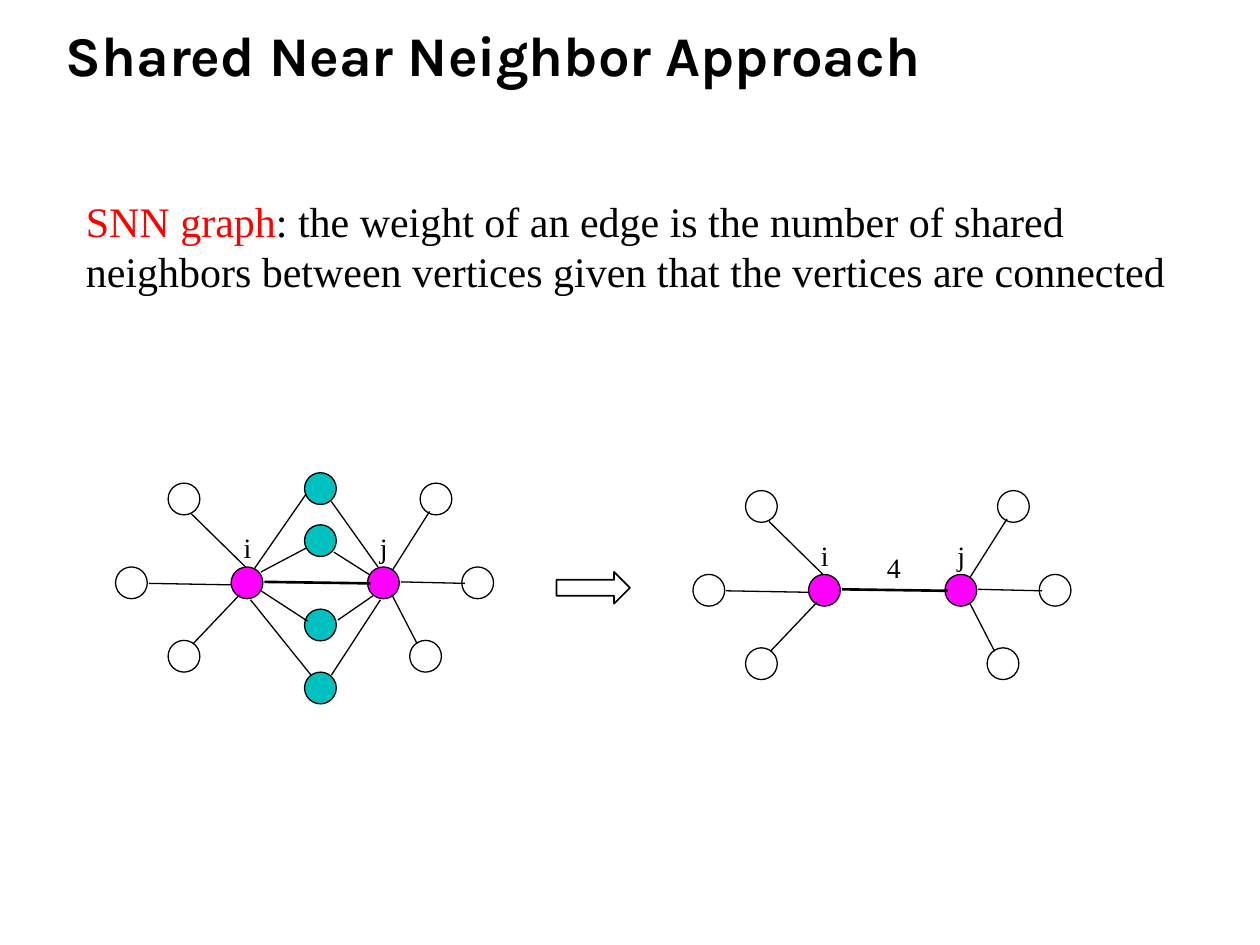
"""Build a slide on the shared near neighbor graph."""
from dataclasses import dataclass
from typing import Optional

from lxml.etree import SubElement
from pptx import Presentation
from pptx.dml.color import RGBColor
from pptx.enum.shapes import MSO_CONNECTOR as Link, MSO_SHAPE as Form
from pptx.enum.text import MSO_ANCHOR as Anchor, MSO_AUTO_SIZE as Fit, PP_ALIGN as Align
from pptx.oxml.ns import qn
from pptx.util import Cm, Pt

BLACK = RGBColor(0, 0, 0)
RED = RGBColor(255, 0, 0)
PINK = RGBColor(255, 0, 255)
TEAL = RGBColor(0, 192, 192)
SERIF = "Times New Roman"
SIZE = 0.64


@dataclass(frozen=True)
class Node:
    x: float
    y: float
    fill: Optional[RGBColor] = None


@dataclass(frozen=True)
class Edge:
    x1: float
    y1: float
    x2: float
    y2: float
    width: float = 0.75


@dataclass(frozen=True)
class Label:
    text: str
    x: float
    y: float
    width: float = 0.84


HUBS = [Node(4.66, 11.43, PINK), Node(7.41, 11.43, PINK)]
RIM = [Node(3.39, 12.91), Node(2.33, 11.43), Node(3.39, 9.74),
       Node(8.47, 9.74), Node(8.26, 12.91), Node(9.31, 11.43)]
SHARED = [Node(6.14, y, TEAL) for y in (9.53, 10.58, 12.28, 13.55)]
NAMES = [Label("i", 4.66, 10.58), Label("j", 7.41, 10.58)]
WEIGHT = Label("4", 5.99, 10.82, 0.94)
EDGES = [
    Edge(3.89, 12.98, 4.83, 11.99),
    Edge(3, 11.76, 4.67, 11.79),
    Edge(3.86, 10.36, 4.95, 11.43),
    Edge(5.33, 11.73, 7.47, 11.76, 1.5),
    Edge(8.08, 11.73, 9.37, 11.76),
    Edge(8.41, 12.98, 7.9, 11.99),
    Edge(7.92, 11.48, 8.66, 10.31),
]
SPOKES = [
    Edge(5.26, 11.53, 6.17, 11.05),
    Edge(5.23, 11.89, 6.2, 12.52),
    Edge(6.27, 13.61, 5.05, 12.09),
    Edge(5.13, 11.46, 6.17, 9.96),
    Edge(6.81, 12.5, 7.52, 12.01),
    Edge(6.68, 13.61, 7.67, 12.09),
    Edge(7.44, 11.58, 6.73, 11.13),
    Edge(7.62, 11.43, 6.68, 10.11),
]


def add_form(shapes, form: Form, x: float, y: float, w: float, h: float,
             fill: Optional[RGBColor], line: float) -> None:
    shape = shapes.add_shape(form, Cm(x), Cm(y), Cm(w), Cm(h))
    shape.shadow.inherit = False
    if fill is None:
        shape.fill.background()
    else:
        shape.fill.solid()
        shape.fill.fore_color.rgb = fill
    shape.line.color.rgb = BLACK
    shape.line.width = Pt(line)


def add_edge(shapes, edge: Edge, dx: float, dy: float) -> None:
    line = shapes.add_connector(Link.STRAIGHT, Cm(edge.x1 + dx), Cm(edge.y1 + dy),
                                Cm(edge.x2 + dx), Cm(edge.y2 + dy))
    line.line.color.rgb = BLACK
    line.line.width = Pt(edge.width)
    SubElement(line._element.spPr, qn("a:effectLst"))


def style(run, size: int, color: RGBColor = BLACK, name: str = SERIF) -> None:
    run.font.size = Pt(size)
    run.font.name = name
    run.font.color.rgb = color


def add_text(shapes, x: float, y: float, w: float, h: float):
    frame = shapes.add_textbox(Cm(x), Cm(y), Cm(w), Cm(h)).text_frame
    frame.word_wrap = True
    frame.auto_size = Fit.SHAPE_TO_FIT_TEXT
    return frame.paragraphs[0]


def add_graph(slide, nodes: list[Node], edges: list[Edge], labels: list[Label],
              dx: float = 0, dy: float = 0) -> None:
    shapes = slide.shapes.add_group_shape().shapes
    for node in nodes:
        add_form(shapes, Form.OVAL, node.x + dx, node.y + dy, SIZE, SIZE, node.fill, 0.75)
    for edge in edges:
        add_edge(shapes, edge, dx, dy)
    for label in labels:
        para = add_text(shapes, label.x + dx, label.y + dy, label.width, 0.94)
        para.text = label.text
        style(para.runs[0], 16)


def add_title(slide) -> None:
    title = slide.shapes.title
    title.left, title.top, title.width, title.height = Cm(1.07), Cm(0.43), Cm(23.01), Cm(1.47)
    frame = title.text_frame
    frame.text = "Shared Near Neighbor Approach"
    frame.auto_size = Fit.NONE
    frame.vertical_anchor = Anchor.BOTTOM
    para = frame.paragraphs[0]
    para.alignment = Align.LEFT
    para.line_spacing = 1.12
    style(para.runs[0], 32, name="Karla")
    para.runs[0].font.bold = True


def add_body(slide) -> None:
    para = add_text(slide.shapes, 1.48, 3.81, 22.43, 2.29)
    for text, color in (
        ("SNN graph", RED),
        (": the weight of an edge is the number of shared neighbors between "
         "vertices given that the vertices are connected", BLACK),
    ):
        run = para.add_run()
        run.text = text
        style(run, 24, color)


def main() -> None:
    deck = Presentation()
    deck.slide_width, deck.slide_height = Cm(25.4), Cm(19.05)
    slide = deck.slides.add_slide(deck.slide_layouts[5])
    add_graph(slide, HUBS + SHARED + RIM, EDGES + SPOKES, NAMES)
    add_graph(slide, HUBS + RIM, EDGES, NAMES + [WEIGHT], 11.64, 0.15)
    add_body(slide)
    add_title(slide)
    add_form(slide.shapes, Form.RIGHT_ARROW, 11.22, 11.53, 1.48, 0.64, None, 1)
    deck.save("out.pptx")


if __name__ == "__main__":
    main()
